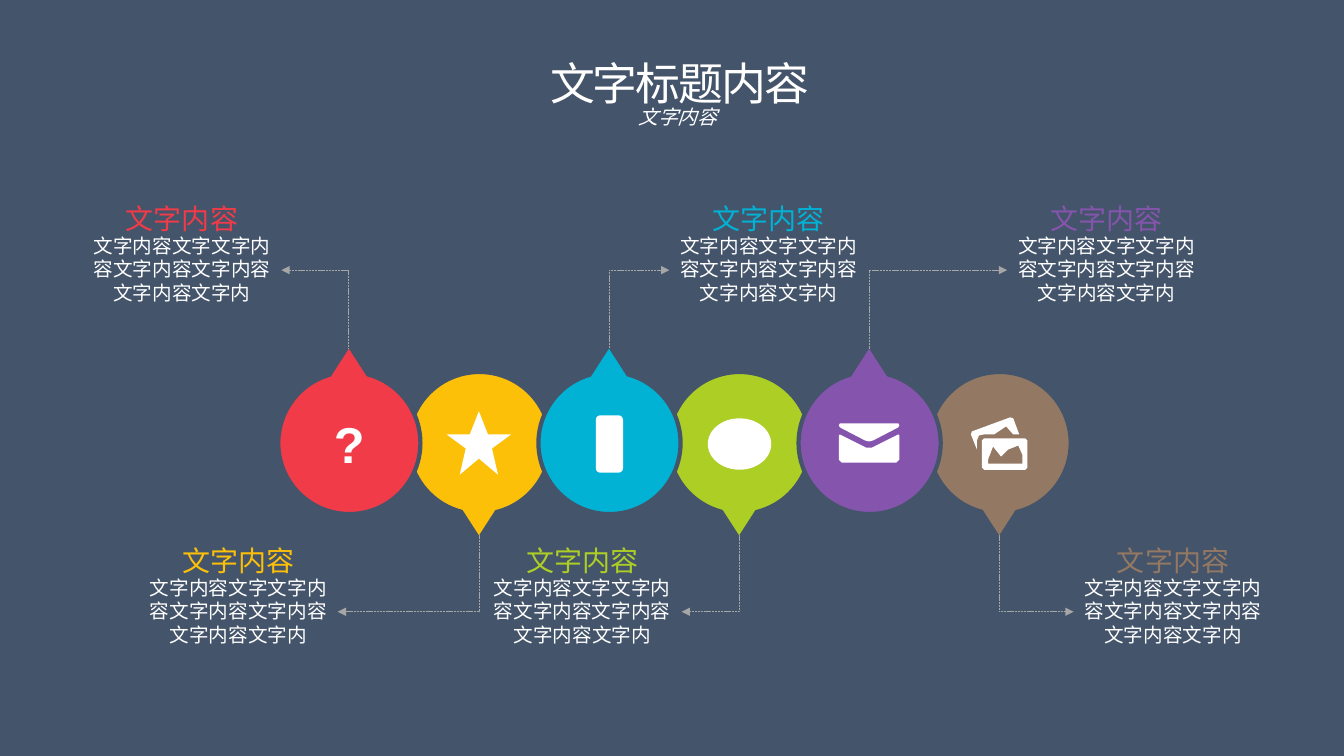
from pptx import Presentation
from pptx import util as u
from pptx.dml import color
from pptx.enum import dml, shapes, text
from pptx.oxml import ns
from lxml import etree

PX = 9144  # 100 px to the inch
BACK, WHITE, GREY = "44546A", "FFFFFF", "A6A6A6"
HEAD = "文字内容"
BODY = "文字内容文字文字内容文字内容文字内容文字内容文字内"

# Pins: colour, icon, left edge of the text; odd ones point down
PINS = [
    ("F13B48", "query", 70),
    ("FCC009", "star", 126),
    ("01B2D4", "bar", 652),
    ("ADCE25", "dot", 467),
    ("8554AD", "mail", 987),
    ("937863", "photo", 1053),
]
FIRST, STEP, MID, SIZE = 346, 129, 440, 141
TIP, BASE = 58, 45
ROWS = (195, 534)

# Icon outlines, measured from the centre of the pin
HALF = [(0, -32), (9, -9), (32, -9), (13, 5), (19, 31), (0, 15)]
ICONS = {
    "star": [HALF + [(-x, y) for x, y in HALF[-2:0:-1]]],
    "mail": [
        [(-29, -16), (-4, -3), (0, -2), (4, -3), (29, -16), (30, -18),
         (29, -20), (-29, -20), (-30, -18)],
        [(29, -9), (3, 4), (-3, 4), (-29, -9), (-30, -8), (-30, 16),
         (-27, 19), (27, 19), (30, 16), (30, -8)],
    ],
    "photo": [
        [(20, -9), (14, -25), (11, -26), (-27, -12), (-28, -9), (-22, 6),
         (-22, -3), (-20, -8), (-15, -9), (-5, -9), (7, -17), (14, -9)],
        [(26, -5), (-15, -5), (-17, -3), (-17, 24), (-15, 26), (26, 26),
         (28, 24), (28, -3)],
        [(23, 20), (-11, 20), (-11, 16), (-6, 3), (2, 13), (9, 6),
         (19, 2), (23, 11)],
    ],
}
PLAIN = {
    "bar": (shapes.MSO_SHAPE.ROUNDED_RECTANGLE, 27, 57),
    "dot": (shapes.MSO_SHAPE.OVAL, 63, 51),
}


def rgb(code):
    return color.RGBColor.from_string(code)


def put(item, values):
    for name, value in values.items():
        setattr(item, name, value)


def emu(*nums):
    return [n * PX for n in nums]


def paint(shape, code, edge=None):
    shape.shadow.inherit = False
    shape.fill.solid()
    shape.fill.fore_color.rgb = rgb(code)
    if edge:
        shape.line.color.rgb = rgb(edge)
        shape.line.width = u.Pt(3)
    else:
        shape.line.fill.background()


def draw(slide, kind, box, code, edge=None):
    shape = slide.shapes.add_shape(kind, *emu(*box))
    paint(shape, code, edge)
    return shape


def write(shape, words, code, font, frame=None, para=None):
    body = shape.text_frame
    body.text = words
    put(body, {"word_wrap": True, "auto_size": text.MSO_AUTO_SIZE.NONE,
               "vertical_anchor": text.MSO_ANCHOR.TOP, **(frame or {})})
    line = body.paragraphs[0]
    put(line, {"alignment": text.PP_ALIGN.CENTER, **(para or {})})
    run = line.runs[0]
    put(run.font, font)
    run.font.color.rgb = rgb(code)
    return run


def label(slide, box, *args):
    return write(slide.shapes.add_textbox(*emu(*box)), *args)


# Title and subtitle
def header(slide, box):
    x, y, w, h = box
    para = {"line_spacing": 0.9, "space_before": u.Pt(10)}
    title = slide.shapes.title
    put(title, dict(zip(("left", "top", "width", "height"), emu(*box))))
    run = write(title, "文字标题内容", WHITE,
                {"name": "Montserrat", "size": u.Pt(32)},
                {"vertical_anchor": text.MSO_ANCHOR.MIDDLE}, para)
    run.font._element.set("spc", "-150")
    label(slide, (x - 11, y + 57, w + 19, 29), HEAD, WHITE,
          {"name": "Calibri", "size": u.Pt(14), "italic": True}, None, para)


# White sign in the middle of a pin
def icon(slide, name, x, y):
    if name == "query":
        label(slide, (x - 41, y - 58, 83, 115), "?", WHITE,
              {"name": "Arial", "size": u.Pt(36), "bold": True},
              {"word_wrap": False, "vertical_anchor": text.MSO_ANCHOR.MIDDLE})
    elif name in PLAIN:
        kind, w, h = PLAIN[name]
        draw(slide, kind, (x - w // 2, y - h // 2, w, h), WHITE)
    else:
        rings = [[(x + a, y + b) for a, b in ring] for ring in ICONS[name]]
        pen = slide.shapes.build_freeform(*rings[0][0], scale=PX)
        for num, ring in enumerate(rings):
            if num:
                pen.move_to(*ring[0])
            pen.add_line_segments(ring[1:], close=True)
        paint(pen.convert_to_shape(), WHITE)


# Circle with its pointer
def pin(slide, box, code, name, down):
    x, y, w, h = box
    draw(slide, shapes.MSO_SHAPE.OVAL, box, code, BACK)
    icon(slide, name, x + w // 2, y + h // 2 + 1)
    top = y + h - 24 if down else y - 23
    tip = draw(slide, shapes.MSO_SHAPE.ISOSCELES_TRIANGLE,
               (x + (w - TIP) // 2, top, TIP, BASE), code)
    tip.rotation = 180 if down else 0


# Heading over a short text
def note(slide, box, code):
    x, y, w, h = box
    label(slide, (x, y, w, 44), HEAD, code,
          {"name": "Montserrat", "size": u.Pt(20)},
          {"vertical_anchor": text.MSO_ANCHOR.MIDDLE})
    label(slide, (x + 12, y + 32, w - 24, h - 32), BODY, WHITE,
          {"name": "Calibri", "size": u.Pt(14)})


# Dashed elbow from the text to the pointer
def link(slide, box, x, y):
    left, top, w, h = box
    side = left + w - 12 if left + w // 2 < x else left + 12
    line = slide.shapes.add_connector(shapes.MSO_CONNECTOR.ELBOW,
                                      *emu(side, top + 73, x, y))
    put(line.line, {"width": u.Pt(0.5),
                    "dash_style": dml.MSO_LINE.SQUARE_DOT})
    line.line.color.rgb = rgb(GREY)
    props = line._element.spPr
    props.find(ns.qn("a:prstGeom")).set("prst", "bentConnector2")
    head = etree.SubElement(props.find(ns.qn("a:ln")), ns.qn("a:headEnd"))
    head.set("type", "triangle")
    etree.SubElement(props, ns.qn("a:effectLst"))


def main():
    deck = Presentation()
    put(deck, {"slide_width": 1333 * PX, "slide_height": 750 * PX})
    slide = deck.slides.add_slide(deck.slide_layouts[5])
    slide.background.fill.solid()
    slide.background.fill.fore_color.rgb = rgb(BACK)
    header(slide, (60, 45, 1228, 80))

    # Downward pins lie behind the upward ones
    for num in (5, 3, 1, 2, 0, 4):
        code, name, _ = PINS[num]
        x = FIRST + STEP * num - SIZE // 2
        pin(slide, (x, MID - SIZE // 2 - 1, SIZE, SIZE), code, name, num % 2)

    for num, (code, _, left) in enumerate(PINS):
        down = num % 2
        box = (left, ROWS[down], 221, 113)
        note(slide, box, code)
        link(slide, box, FIRST + STEP * num, 531 if down else 346)
    deck.save("out.pptx")


if __name__ == "__main__":
    main()
